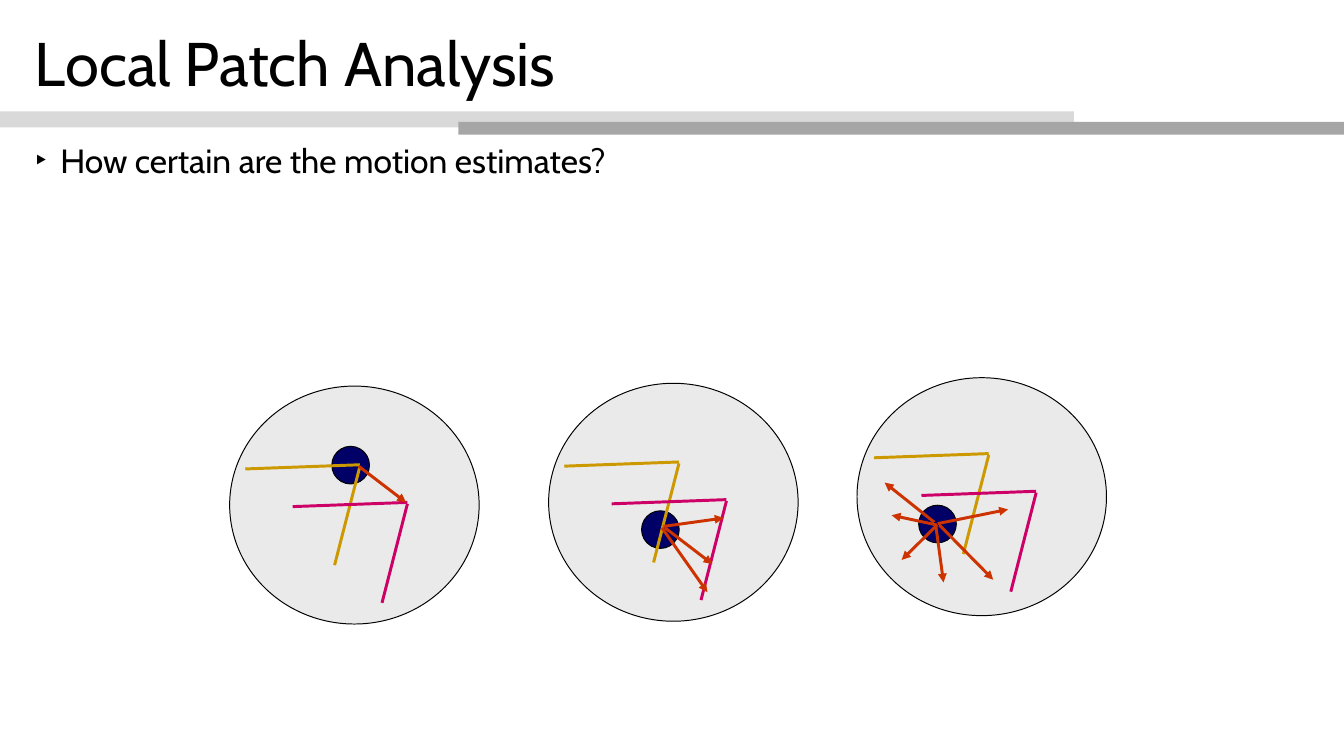
"""Build the slide on local patch analysis and motion certainty."""
from typing import Any, NamedTuple

from lxml import etree
from pptx import Presentation
from pptx.dml.color import RGBColor
from pptx.enum.shapes import MSO_CONNECTOR, MSO_SHAPE
from pptx.enum.text import MSO_ANCHOR, MSO_AUTO_SIZE, PP_ALIGN
from pptx.oxml.ns import qn
from pptx.util import Cm, Pt

OVAL, RECT = MSO_SHAPE.OVAL, MSO_SHAPE.RECTANGLE
STRAIGHT = MSO_CONNECTOR.STRAIGHT
TOP, MIDDLE = MSO_ANCHOR.TOP, MSO_ANCHOR.MIDDLE
LEFT, NO_FIT = PP_ALIGN.LEFT, MSO_AUTO_SIZE.NONE

BLACK = RGBColor(0x00, 0x00, 0x00)
PALE = RGBColor(0xD9, 0xD9, 0xD9)
GREY = RGBColor(0xA6, 0xA6, 0xA6)
DISC = RGBColor(0xEA, 0xEA, 0xEA)
NAVY = RGBColor(0x00, 0x00, 0x66)
GOLD = RGBColor(0xCC, 0x99, 0x00)
PINK = RGBColor(0xCC, 0x00, 0x66)
RED = RGBColor(0xCC, 0x33, 0x00)
FONT = "Cabin"

DISC_SIZE = (8.94, 8.53)
DOT_SIZE = (1.35, 1.35)
SHIFT = (1.7, 1.35)
INDENT = 0.91


class Point(NamedTuple):
    x: float
    y: float


class Ray(NamedTuple):
    start: Point
    end: Point


class Patch(NamedTuple):
    disc: Point
    dot: Point
    edge: Point
    rays: list[Ray]


class Bar(NamedTuple):
    at: Point
    size: tuple[float, float]
    color: RGBColor


CORNER = [
    Ray(Point(0, 0), Point(4.11, -0.15)),
    Ray(Point(4.11, -0.1), Point(3.2, 3.45)),
]

BARS = [
    Bar(Point(0, 3.99), (38.48, 0.58), PALE),
    Bar(Point(16.43, 4.37), (31.73, 0.46), GREY),
]

PATCHES = [
    Patch(Point(8.23, 13.84), Point(11.89, 16), Point(8.79, 16.81), [
        Ray(Point(12.85, 16.71), Point(14.55, 18.01)),
    ]),
    Patch(Point(19.66, 13.74), Point(22.99, 18.31), Point(20.22, 16.71), [
        Ray(Point(23.83, 18.92), Point(25.53, 20.22)),
        Ray(Point(23.77, 18.87), Point(25.93, 18.57)),
        Ray(Point(23.72, 18.92), Point(25.35, 21.23)),
    ]),
    Patch(Point(30.71, 13.54), Point(32.92, 18.11), Point(31.32, 16.41), [
        Ray(Point(33.66, 18.82), Point(35.59, 20.78)),
        Ray(Point(33.6, 18.77), Point(36.12, 18.26)),
        Ray(Point(33.53, 18.82), Point(33.81, 20.88)),
        Ray(Point(33.58, 18.82), Point(31.95, 18.47)),
        Ray(Point(33.48, 18.72), Point(31.7, 17.3)),
        Ray(Point(33.58, 18.82), Point(32.31, 20.07)),
    ]),
]


def add_form(shapes: Any, kind: Any, at: Point, size: tuple[float, float],
             color: RGBColor) -> Any:
    form = shapes.add_shape(kind, Cm(at.x), Cm(at.y), Cm(size[0]), Cm(size[1]))
    form.shadow.inherit = False
    form.fill.solid()
    form.fill.fore_color.rgb = color
    form.line.fill.background()
    return form


def add_oval(shapes: Any, at: Point, size: tuple[float, float],
             color: RGBColor) -> None:
    oval = add_form(shapes, OVAL, at, size, color)
    oval.line.color.rgb = BLACK
    oval.line.width = Pt(1)


def add_line(shapes: Any, ray: Ray, color: RGBColor, arrow: bool = False) -> None:
    start, end = ray
    line = shapes.add_connector(
        STRAIGHT, Cm(start.x), Cm(start.y), Cm(end.x), Cm(end.y))
    line.line.color.rgb = color
    line.line.width = Pt(3)
    if arrow:
        etree.SubElement(line.line._get_or_add_ln(), qn("a:tailEnd"),
                         type="triangle")
    etree.SubElement(line._element.spPr, qn("a:effectLst"))


def add_edge(shapes: Any, at: Point, color: RGBColor) -> None:
    for start, end in CORNER:
        ray = Ray(Point(at.x + start.x, at.y + start.y),
                  Point(at.x + end.x, at.y + end.y))
        add_line(shapes, ray, color)


def add_patch(slide: Any, patch: Patch) -> None:
    shapes = slide.shapes.add_group_shape().shapes
    add_oval(shapes, patch.disc, DISC_SIZE, DISC)
    add_oval(shapes, patch.dot, DOT_SIZE, NAVY)
    add_edge(shapes, patch.edge, GOLD)
    pink = Point(patch.edge.x + SHIFT[0], patch.edge.y + SHIFT[1])
    add_edge(shapes, pink, PINK)
    for ray in patch.rays:
        add_line(shapes, ray, RED, arrow=True)


def set_text(box: Any, text: str, size: float, anchor: Any,
             bullet: str = "") -> None:
    frame = box.text_frame
    frame.word_wrap = True
    frame.auto_size = NO_FIT
    frame.vertical_anchor = anchor
    frame.margin_left = frame.margin_right = Cm(0.36)
    frame.margin_top = frame.margin_bottom = Cm(0.18)
    para = frame.paragraphs[0]
    para.alignment = LEFT
    para.line_spacing = 0.9
    if bullet:
        props = para._p.get_or_add_pPr()
        props.set("marL", str(Cm(INDENT)))
        props.set("indent", str(-Cm(INDENT)))
        etree.SubElement(props, qn("a:buFont"), typeface=FONT)
        etree.SubElement(props, qn("a:buChar"), char=bullet)
    run = para.add_run()
    run.text = text
    run.font.name = FONT
    run.font.size = Pt(size)
    run.font.color.rgb = BLACK


def main() -> None:
    deck = Presentation()
    deck.slide_width, deck.slide_height = Cm(48.16), Cm(27.1)
    slide = deck.slides.add_slide(deck.slide_layouts[5])
    for bar in BARS:
        add_form(slide.shapes, RECT, bar.at, bar.size, bar.color)
    title = slide.shapes.title
    title.left, title.top = Cm(0.89), Cm(0.56)
    title.width, title.height = Cm(46.3), Cm(3.66)
    set_text(title, "Local Patch Analysis", 62.6, MIDDLE)
    body = slide.shapes.add_textbox(Cm(0.89), Cm(5), Cm(46.38), Cm(21.54))
    set_text(body, "How certain are the motion estimates?", 34.1, TOP, "‣")
    for patch in PATCHES:
        add_patch(slide, patch)
    deck.save("out.pptx")


if __name__ == "__main__":
    main()
